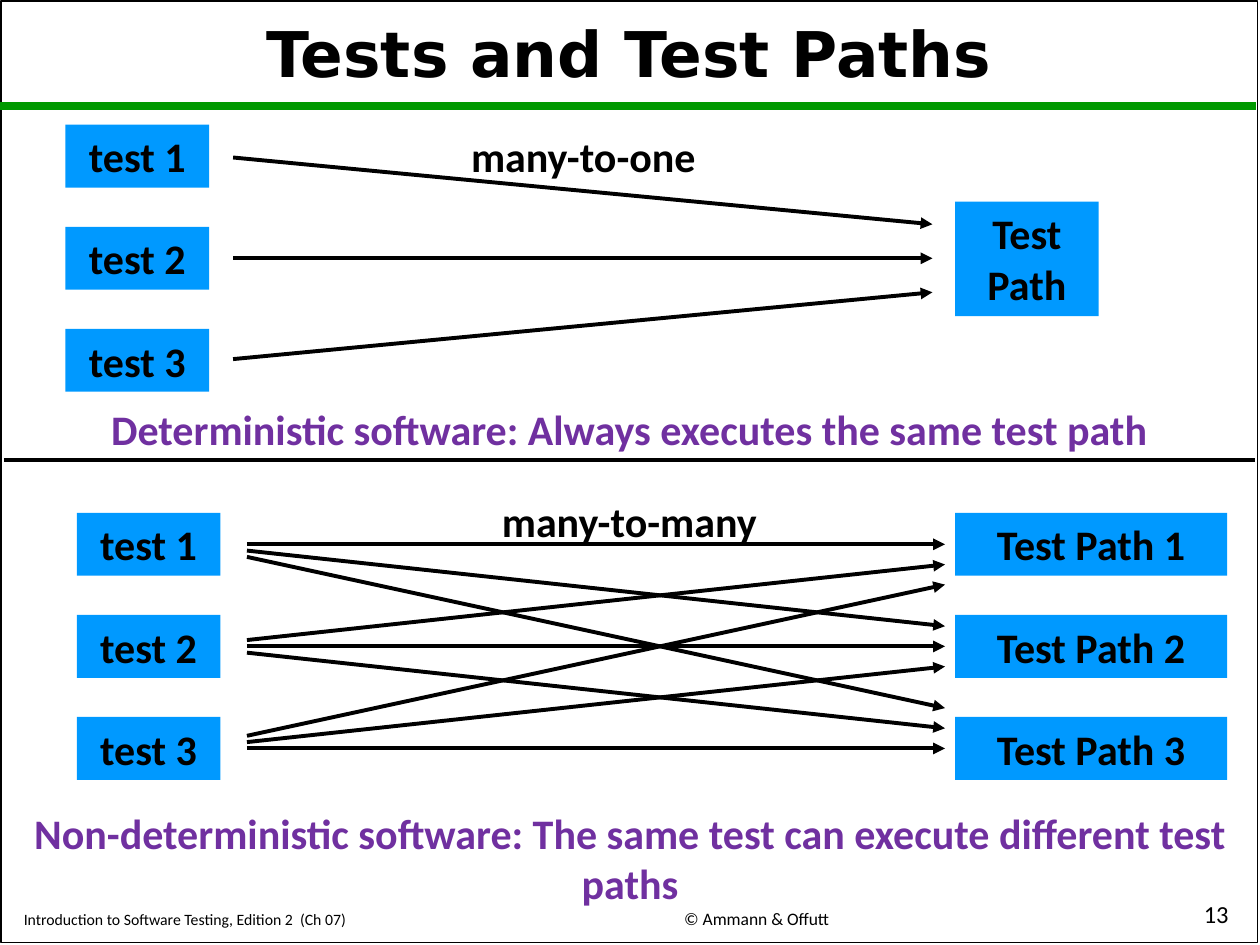
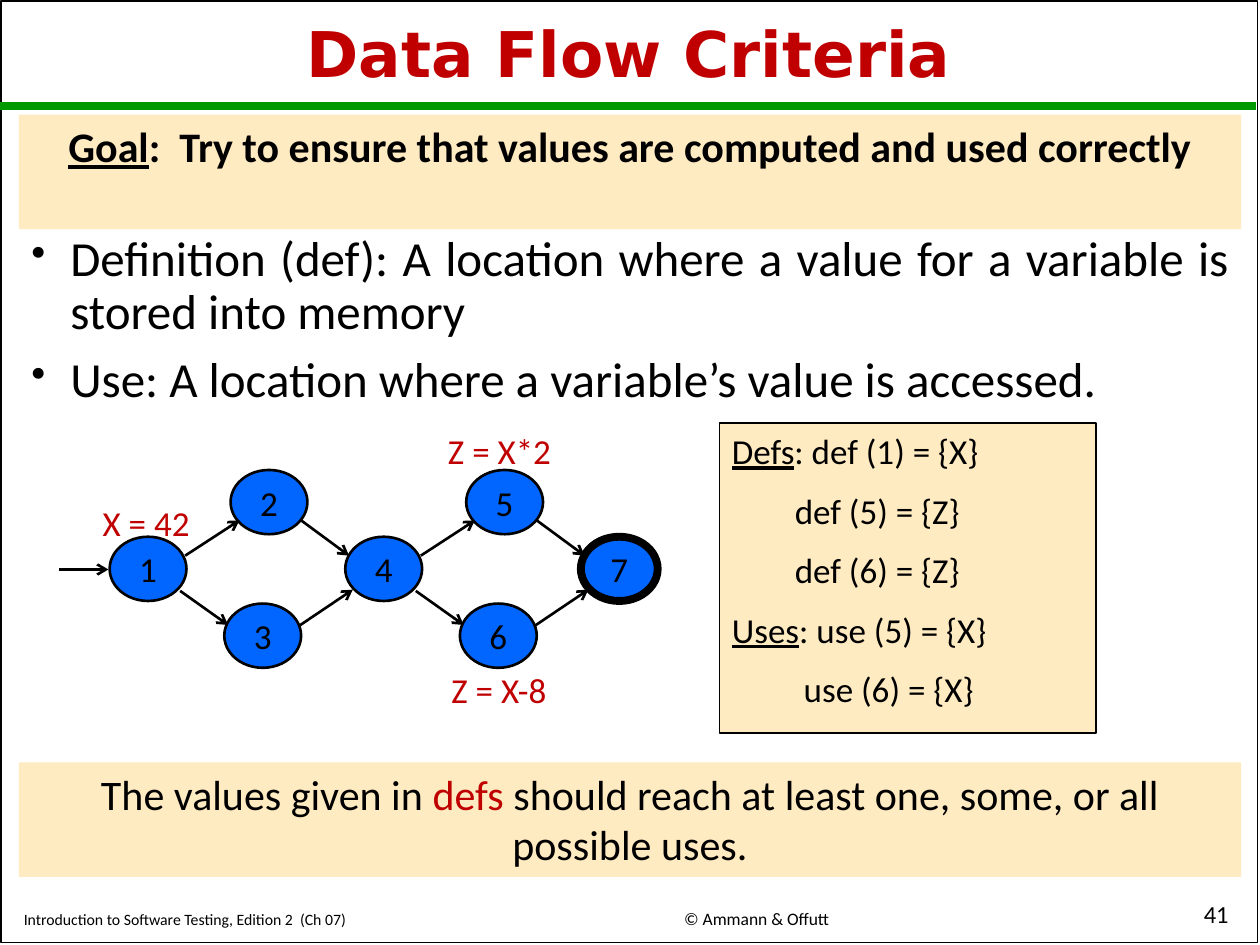
import pptx
import pptx.util
import pptx.dml.color
import pptx.enum.shapes
import pptx.enum.text
import pptx.oxml.ns
import lxml.etree

RGB = pptx.dml.color.RGBColor
BLACK = RGB(0x00, 0x00, 0x00)
GREEN = RGB(0x00, 0x99, 0x00)
SKY = RGB(0x00, 0x99, 0xFF)
BLUE = RGB(0x00, 0x66, 0xFF)
PURPLE = RGB(0x70, 0x30, 0xA0)
RED = RGB(0xC0, 0x00, 0x00)
CREAM = RGB(0xFF, 0xEB, 0xC2)

KIND = pptx.enum.shapes.MSO_SHAPE
ALIGN = pptx.enum.text.PP_ALIGN
ANCHOR = pptx.enum.text.MSO_ANCHOR
Pt = pptx.util.Pt
qn = pptx.oxml.ns.qn

WIDTH, HEIGHT = pptx.util.Inches(10), pptx.util.Inches(7.5)
COLS = 1000
CELL = WIDTH // COLS

BOOK = "Introduction to Software Testing, Edition 2  (Ch 07)"
RIGHTS = "© Ammann & Offutt"

TESTS = ["test 1", "test 2", "test 3"]
PATHS = ["Test Path 1", "Test Path 2", "Test Path 3"]
FIXED = "Deterministic software: Always executes the same test path"
LOOSE = "Non-deterministic software: The same test can execute different test paths"
STEP = 81

GOAL = [("Goal", "under"), (":  Try to ensure that values are computed and used correctly", "")]
TERMS = [
    "Definition (def): A location where a value for a variable is stored into memory",
    "Use: A location where a variable’s value is accessed.",
]
FACTS = [
    (0, [("Defs", "under"), (": def (1) = {X}", "")]),
    (50, "def (5) = {Z}"),
    (50, "def (6) = {Z}"),
    (0, [("Uses", "under"), (": use (5) = {X}", "")]),
    (57, "use (6) = {X}"),
]
REACH = [
    ("The values given in ", ""),
    ("defs", "red"),
    (" should reach at least one, some, or all possible uses.", ""),
]
NOTES = [("X = 42", (60, 393, 112, 43)), ("Z = X-8", (340, 526, 112, 44)),
         ("Z = X*2", (331, 336, 131, 43))]

NODE = (61, 51)
START = (87, 426)
SPAN = 187
UPPER, LOWER = (96, -53), (91, 53)
EDGES = [
    ((60, 15), (103, -13)),
    ((56, 43), (94, 70)),
    ((152, -13), (190, 15)),
    ((150, 71), (193, 42)),
]


def cells(nums):
    return [round(num * CELL) for num in nums]


def style(para, size, color=BLACK, bold=False, face="Calibri"):
    font = para.font
    font.size, font.name, font.bold = Pt(size), face, bold
    font.color.rgb = color


def fill_in(para, text):
    for words, mark in [(text, "")] if isinstance(text, str) else text:
        run = para.add_run()
        run.text = words
        if mark == "under":
            run.font.underline = True
        if mark == "red":
            run.font.color.rgb = RED


def write(shape, text, size, color=BLACK, bold=False, face="Calibri",
          align=ALIGN.CENTER, anchor=ANCHOR.TOP):
    frame = shape.text_frame
    frame.word_wrap = True
    frame.vertical_anchor = anchor
    para = frame.paragraphs[0]
    para.alignment = align
    fill_in(para, text)
    style(para, size, color, bold, face)
    return para


def label(slide, area, text, size, **look):
    return write(slide.shapes.add_textbox(*cells(area)), text, size, **look)


def block(slide, area, fill=None, line=0, kind=KIND.RECTANGLE):
    shape = slide.shapes.add_shape(kind, *cells(area))
    shape.shadow.inherit = False
    if fill is None:
        shape.fill.background()
    else:
        shape.fill.solid()
        shape.fill.fore_color.rgb = fill
    if line:
        shape.line.color.rgb = BLACK
        shape.line.width = Pt(line)
    else:
        shape.line.fill.background()
    return shape


def link(slide, tail, tip, width, color=BLACK, head=None):
    wire = slide.shapes.add_connector(
        pptx.enum.shapes.MSO_CONNECTOR.STRAIGHT, *cells((*tail, *tip)))
    wire.line.color.rgb = color
    wire.line.width = Pt(width)
    if head:
        end = lxml.etree.SubElement(wire.line._get_or_add_ln(), qn("a:tailEnd"))
        end.set("type", head)
    lxml.etree.SubElement(wire._element.spPr, qn("a:effectLst"))


def column(slide, names, left, top, width):
    for row, name in enumerate(names):
        box = block(slide, (left, top + row * STEP, width, 50), SKY)
        write(box, name, 24, bold=True)


def page(deck, title, number, color=BLACK):
    slide = deck.slides.add_slide(deck.slide_layouts[6])
    block(slide, (1, 1, 997, 747), line=1)
    link(slide, (0, 84), (997, 84), 4.5, GREEN)
    low = ANCHOR.BOTTOM
    label(slide, (9, 712, 412, 30), BOOK, 9, align=ALIGN.LEFT, anchor=low)
    label(slide, (442, 711, 317, 31), RIGHTS, 10, anchor=low)
    label(slide, (789, 710, 196, 32), number, 14, align=ALIGN.RIGHT, anchor=low)
    head = label(slide, (9, 11, 980, 69), title, 36, color=color, bold=True,
                 face="DejaVu Sans", anchor=ANCHOR.MIDDLE)
    head.line_spacing = 0.9
    return slide


def draw_tests(deck):
    slide = page(deck, "Tests and Test Paths", "13")
    column(slide, TESTS, 52, 99, 114)
    label(slide, (353, 99, 220, 50), "many-to-one", 24, bold=True)
    for row in (-1, 0, 1):
        link(slide, (185, 205 + 80 * row), (740, 205 + 27 * row), 2.25, head="triangle")
    write(block(slide, (758, 160, 114, 91), SKY), "Test Path", 24, bold=True)
    label(slide, (3, 315, 993, 51), FIXED, 24, color=PURPLE, bold=True)
    link(slide, (3, 365), (996, 365), 2.25)

    column(slide, TESTS, 61, 407, 114)
    label(slide, (298, 388, 403, 51), "many-to-many", 24, bold=True)
    for test in range(len(TESTS)):
        for path in range(len(PATHS)):
            gap = path - test
            tail = (196, 432 + STEP * test + 5 * gap)
            tip = (750, 432 + STEP * path - 16 * gap)
            link(slide, tail, tip, 2.25, head="triangle")
    column(slide, PATHS, 758, 407, 216)
    label(slide, (14, 636, 972, 91), LOOSE, 24, color=PURPLE, bold=True)


def draw_terms(slide):
    frame = slide.shapes.add_textbox(*cells((15, 181, 970, 149))).text_frame
    frame.word_wrap = True
    for row, term in enumerate(TERMS):
        para = frame.add_paragraph() if row else frame.paragraphs[0]
        para.alignment = ALIGN.JUSTIFY
        para.line_spacing = 0.9
        if row:
            para.space_before = Pt(8.4)
        props = para._p.get_or_add_pPr()
        props.set("marL", str(31 * CELL))
        props.set("indent", str(-31 * CELL))
        lxml.etree.SubElement(props, qn("a:buSzPct")).set("val", "85000")
        lxml.etree.SubElement(props, qn("a:buChar")).set("char", "•")
        fill_in(para, term)
        style(para, 28)


def draw_graph(slide):
    left, top = START
    spots = [START]
    for turn in (0, 1):
        base = left + SPAN * turn
        spots += [(base + x, top + y) for x, y in (UPPER, LOWER, (SPAN, 0))]
    for num, spot in enumerate(spots, 1):
        last = num == len(spots)
        node = block(slide, (*spot, *NODE), BLUE, 4.5 if last else 1.5, KIND.OVAL)
        frame = node.text_frame
        frame.margin_left = frame.margin_right = 0
        frame.margin_top = frame.margin_bottom = 0
        write(node, str(num), 20, anchor=ANCHOR.MIDDLE)
    link(slide, (47, 452), (86, 452), 1.5, head="arrow")
    for turn in (0, 1):
        for ends in EDGES:
            tail, tip = [(left + SPAN * turn + x, top + y) for x, y in ends]
            link(slide, tail, tip, 1.5, head="arrow")
    for text, area in NOTES:
        label(slide, area, text, 20, color=RED)


def draw_facts(slide):
    frame = block(slide, (571, 336, 299, 246), CREAM, 1).text_frame
    frame.word_wrap = True
    frame.vertical_anchor = ANCHOR.TOP
    for row, (inset, fact) in enumerate(FACTS):
        para = frame.add_paragraph() if row else frame.paragraphs[0]
        para.alignment = ALIGN.LEFT
        if row:
            para.space_before = Pt(10)
        para._p.get_or_add_pPr().set("marL", str(inset * CELL))
        fill_in(para, fact)
        style(para, 20)


def draw_flow(deck):
    slide = page(deck, "Data Flow Criteria", "41", RED)
    draw_terms(slide)
    write(block(slide, (15, 91, 970, 91), CREAM), GOAL, 24, bold=True)
    draw_graph(slide)
    draw_facts(slide)
    write(block(slide, (15, 605, 970, 91), CREAM), REACH, 24)


def main():
    deck = pptx.Presentation()
    deck.slide_width, deck.slide_height = WIDTH, HEIGHT
    draw_tests(deck)
    draw_flow(deck)
    deck.save("out.pptx")


if __name__ == "__main__":
    main()
